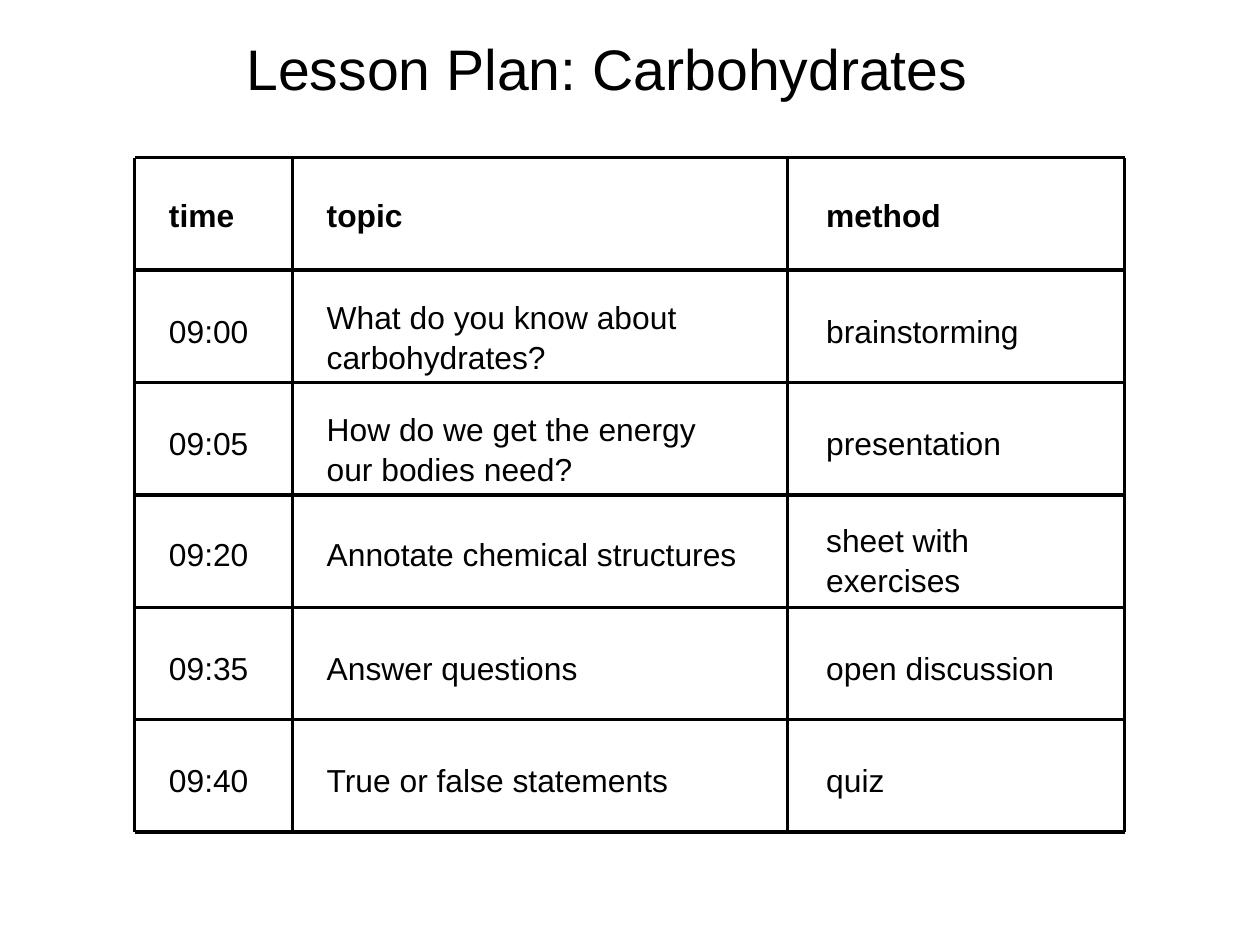
"""Build the lesson plan slide: a title above a ruled timetable."""
from lxml.etree import SubElement
from pptx import Presentation
from pptx.dml.color import RGBColor
from pptx.enum.shapes import MSO_CONNECTOR
from pptx.enum.text import MSO_ANCHOR, MSO_AUTO_SIZE, PP_ALIGN
from pptx.oxml.ns import qn
from pptx.util import Cm, Inches, Pt

TITLE = "Lesson Plan: Carbohydrates"
TIMETABLE = [
    ("time", "topic", "method"),
    ("09:00", "What do you know about carbohydrates?", "brainstorming"),
    ("09:05", "How do we get the energy our bodies need?", "presentation"),
    ("09:20", "Annotate chemical structures", "sheet with exercises"),
    ("09:35", "Answer questions", "open discussion"),
    ("09:40", "True or false statements", "quiz"),
]
TWO_LINE_CELLS = {(1, 1), (2, 1), (3, 2)}
WIDE_CELLS = {(0, 1): 3.58, (3, 1): 3.94, (4, 2): 2.52, (5, 2): 2.52}

INK = {"text": "000000", "rule": "000000"}
FONT = "Arial"
SLIDE_SIZE_CM = (28, 21)
TITLE_BOX = (0.35, 0.17, 9.92, 0.85)
COLUMN_EDGES = (1.18, 2.56, 6.89, 9.84)
GRID_TOP, GRID_BOTTOM = 1.38, 7.28
ROW_HEIGHT = (GRID_BOTTOM - GRID_TOP) / len(TIMETABLE)
ROW_EDGES = [GRID_TOP + row * ROW_HEIGHT for row in range(len(TIMETABLE) + 1)]
TEXT_LEFTS = (1.38, 2.76, 7.13)
TEXT_WIDTHS = (2.36, 3.54, 2.36)
TEXT_TOPS = (1.65, 2.66, 3.64, 4.61, 5.61, 6.59)
ONE_LINE_HEIGHT, TWO_LINE_HEIGHT = 0.41, 0.72
TWO_LINE_LIFT = 0.12


def apply(target, values):
    for name, value in values.items():
        setattr(target, name, value)


def add_text(slide, box, text, size, bold=False, frame_format=None, paragraph_format=None):
    text_frame = slide.shapes.add_textbox(*map(Inches, box)).text_frame
    apply(text_frame, {"word_wrap": True, "auto_size": MSO_AUTO_SIZE.SHAPE_TO_FIT_TEXT})
    apply(text_frame, frame_format or {})
    paragraph = text_frame.paragraphs[0]
    apply(paragraph, paragraph_format or {})
    run = paragraph.add_run()
    run.text = text
    apply(run.font, {"name": FONT, "size": Pt(size), "bold": bold})
    run.font.color.rgb = RGBColor.from_string(INK["text"])


def add_rule(slide, *ends):
    rule = slide.shapes.add_connector(MSO_CONNECTOR.STRAIGHT, *map(Inches, ends))
    rule.line.width = Pt(0)
    rule.line.color.rgb = RGBColor.from_string(INK["rule"])
    SubElement(rule._element.spPr, qn("a:effectLst"))


def add_grid(slide):
    for y in ROW_EDGES:
        add_rule(slide, COLUMN_EDGES[0], y, COLUMN_EDGES[-1], y)
    for x in COLUMN_EDGES:
        add_rule(slide, x, GRID_TOP, x, GRID_BOTTOM)


def add_entries(slide):
    for row, entries in enumerate(TIMETABLE):
        for column, entry in enumerate(entries):
            cell = (row, column)
            top, height = TEXT_TOPS[row], ONE_LINE_HEIGHT
            if cell in TWO_LINE_CELLS:
                top, height = top - TWO_LINE_LIFT, TWO_LINE_HEIGHT
            width = WIDE_CELLS.get(cell, TEXT_WIDTHS[column])
            box = (TEXT_LEFTS[column], top, width, height)
            add_text(slide, box, entry, 20, bold=row == 0,
                     paragraph_format={"line_spacing": 1.05})


def main():
    presentation = Presentation()
    width, height = map(Cm, SLIDE_SIZE_CM)
    apply(presentation, {"slide_width": width, "slide_height": height})
    slide = presentation.slides.add_slide(presentation.slide_layouts[6])
    margins = ("margin_left", "margin_right", "margin_top", "margin_bottom")
    add_text(slide, TITLE_BOX, TITLE, 36,
             frame_format={"vertical_anchor": MSO_ANCHOR.MIDDLE, **dict.fromkeys(margins, 0)},
             paragraph_format={"alignment": PP_ALIGN.CENTER})
    add_grid(slide)
    add_entries(slide)
    presentation.save("out.pptx")


if __name__ == "__main__":
    main()
